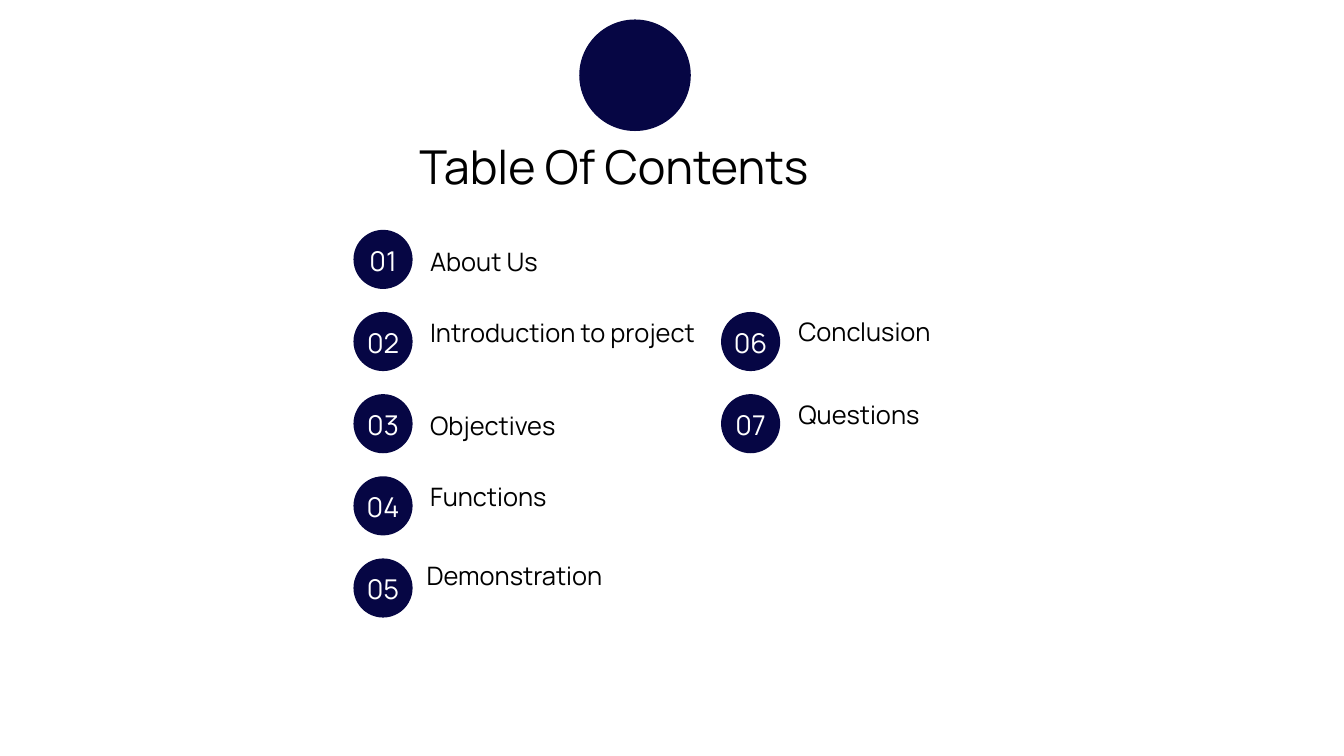
from dataclasses import dataclass

from pptx import Presentation
from pptx.dml.color import RGBColor
from pptx.enum.shapes import MSO_SHAPE
from pptx.enum.text import MSO_ANCHOR, MSO_AUTO_SIZE, PP_ALIGN
from pptx.util import Inches, Pt

TITLE = "Table Of Contents"

# column, row, number, topic, label left, label top, label width
ENTRIES = [
    (0, 0, "01", "About Us", 6.4, 3.59, 3.44),
    (0, 1, "02", "Introduction to project", 6.4, 4.65, 3.95),
    (0, 2, "03", "Objectives", 6.4, 6.02, 3.33),
    (0, 3, "04", "Functions", 6.4, 7.08, 3.44),
    (0, 4, "05", "Demonstration", 6.35, 8.26, 3.44),
    (1, 1, "06", "Conclusion", 11.88, 4.63, 3.44),
    (1, 2, "07", "Questions", 11.88, 5.86, 3.44),
]


@dataclass(frozen=True)
class Theme:
    font: str = "Manrope"
    navy: RGBColor = RGBColor(0x06, 0x06, 0x44)
    black: RGBColor = RGBColor(0, 0, 0)
    white: RGBColor = RGBColor(255, 255, 255)
    # (type size, line spacing) in points
    title: tuple = (50, 55)
    number: tuple = (29.2, 35.1)
    topic: tuple = (27.2, 38.1)


THEME = Theme()
COLUMN_LEFT, COLUMN_STEP = 5.26, 5.47
ROW_TOP, ROW_STEP = 3.42, 1.2225
BADGE = 0.88
NUMBER_WIDTH, NUMBER_HEIGHT, NUMBER_DROP = 0.65, 0.51, 0.21


def add_disc(slide, left, top, diameter):
    disc = slide.shapes.add_shape(
        MSO_SHAPE.OVAL, Inches(left), Inches(top), Inches(diameter), Inches(diameter))
    disc.shadow.inherit = False
    disc.fill.solid()
    disc.fill.fore_color.rgb = THEME.navy
    disc.line.fill.background()


def write(shape, words, style, color, align=PP_ALIGN.LEFT):
    """Fill a text shape with one line, without margins, from the top."""
    frame = shape.text_frame
    frame.word_wrap = True
    frame.auto_size = MSO_AUTO_SIZE.NONE
    frame.vertical_anchor = MSO_ANCHOR.TOP
    frame.margin_left = frame.margin_right = frame.margin_top = frame.margin_bottom = 0
    size, spacing = style
    paragraph = frame.paragraphs[0]
    paragraph.alignment = align
    paragraph.line_spacing = Pt(spacing)
    paragraph.space_before = Pt(0)
    run = paragraph.add_run()
    run.text = words
    run.font.name = THEME.font
    run.font.size = Pt(size)
    run.font.color.rgb = color


def add_label(slide, left, top, width, height, *text):
    box = slide.shapes.add_textbox(
        Inches(left), Inches(top), Inches(width), Inches(height))
    write(box, *text)


def add_entry(slide, column, row, number, topic, label_left, label_top, label_width):
    left = COLUMN_LEFT + column * COLUMN_STEP
    top = ROW_TOP + row * ROW_STEP
    add_disc(slide, left, top, BADGE)
    add_label(slide, left + (BADGE - NUMBER_WIDTH) / 2, top + NUMBER_DROP,
              NUMBER_WIDTH, NUMBER_HEIGHT,
              number, THEME.number, THEME.white, PP_ALIGN.CENTER)
    add_label(slide, label_left, label_top, label_width, 0.54,
              topic, THEME.topic, THEME.black)


def main():
    deck = Presentation()
    deck.slide_width, deck.slide_height = Inches(20), Inches(11.25)
    slide = deck.slides.add_slide(deck.slide_layouts.get_by_name("Title Only"))

    add_disc(slide, 8.62, 0.29, 1.66)
    heading = slide.shapes.title
    heading.left, heading.top = Inches(6.24), Inches(2.12)
    heading.width, heading.height = Inches(6.62), Inches(0.82)
    write(heading, TITLE, THEME.title, THEME.black)

    for entry in ENTRIES:
        add_entry(slide, *entry)
    deck.save("out.pptx")


if __name__ == "__main__":
    main()
